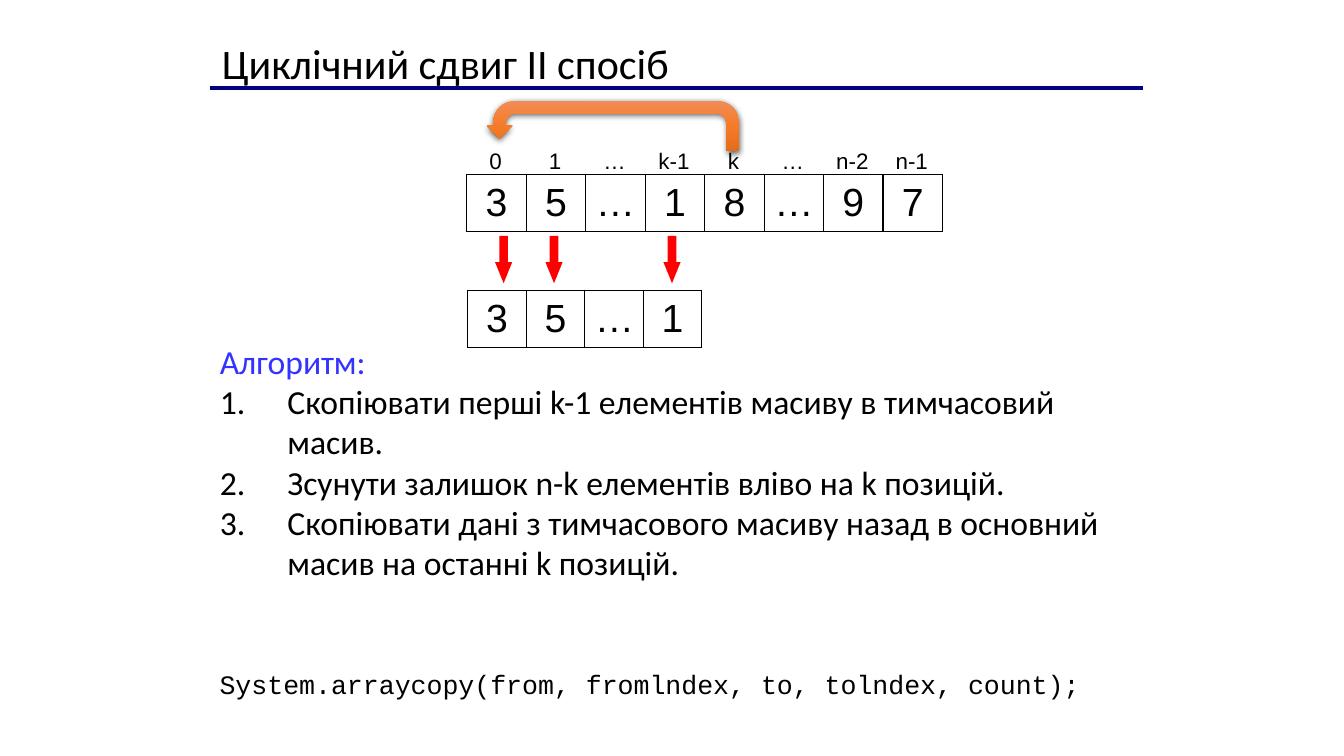
import pptx
import pptx.dml.color
import pptx.enum.shapes
import pptx.enum.text
import pptx.oxml
import pptx.oxml.ns
import pptx.util

PX = 9144
BLACK = "000000"
NAVY = "000080"
BLUE = "3333FF"
RED = "FF0000"
NO_TABLE_STYLE = "{2D5ABB26-0587-4C30-8999-92F81FD0307C}"
COLUMN = 59
INDEXES = ["0", "1", "…", "k-1", "k", "…", "n-2", "n-1"]
VALUES = ["3", "5", "…", "1", "8", "…", "9", "7"]
STEPS = [
    "Скопіювати перші k-1 елементів масиву в тимчасовий масив.",
    "Зсунути залишок n-k елементів вліво на k позицій.",
    "Скопіювати дані з тимчасового масиву назад в основний масив на останні k позицій.",
]


def px(*lengths):
    return [length * PX for length in lengths]


def rgb(value):
    return pptx.dml.color.RGBColor.from_string(value)


def append_xml(parent, text):
    namespaces = pptx.oxml.ns.nsdecls("a")
    head, rest = text.split(">", 1)
    if head.endswith("/"):
        head = f"{head[:-1]} {namespaces}/"
    else:
        head = f"{head} {namespaces}"
    element = pptx.oxml.parse_xml(f"{head}>{rest}")
    parent.append(element)
    return element


def place(shape, bounds):
    shape.left, shape.top, shape.width, shape.height = px(*bounds)


def add_span(para, text, font, size, color=BLACK):
    span = para.add_run()
    span.text = text
    span.font.name = font
    span.font.size = pptx.util.Pt(size)
    span.font.color.rgb = rgb(color)


def prepare_frame(frame):
    frame.word_wrap = True
    frame.auto_size = pptx.enum.text.MSO_AUTO_SIZE.NONE
    frame.vertical_anchor = pptx.enum.text.MSO_ANCHOR.TOP


def fill_title(title, text, bounds):
    place(title, bounds)
    prepare_frame(title.text_frame)
    para = title.text_frame.paragraphs[0]
    para.alignment = pptx.enum.text.PP_ALIGN.LEFT
    add_span(para, text, "Calibri", 30)


def set_bullet(para, indent, bullet):
    properties = para._p.get_or_add_pPr()
    properties.set("marL", str(indent * PX))
    properties.set("indent", str(-indent * PX))
    append_xml(properties, bullet)


def fill_steps(body, heading, steps, bounds):
    place(body, bounds)
    frame = body.text_frame
    prepare_frame(frame)
    para = frame.paragraphs[0]
    set_bullet(para, 19, "<a:buNone/>")
    para.space_before = pptx.util.Pt(0)
    add_span(para, heading, "Calibri", 24, BLUE)
    for step in steps:
        para = frame.add_paragraph()
        set_bullet(para, 67, '<a:buAutoNum type="arabicPeriod"/>')
        para.space_before = pptx.util.Pt(0)
        add_span(para, step, "Calibri", 24)


def add_code(page, text, bounds):
    box = page.shapes.add_textbox(*px(*bounds))
    prepare_frame(box.text_frame)
    add_span(box.text_frame.paragraphs[0], text, "Courier New", 19)


def add_rule(page, left, right, y):
    straight = pptx.enum.shapes.MSO_CONNECTOR.STRAIGHT
    rule = page.shapes.add_connector(straight, *px(left, y, right, y))
    rule.line.color.rgb = rgb(NAVY)
    rule.line.width = pptx.util.Pt(3)
    append_xml(rule.element.spPr, "<a:effectLst/>")


def add_borders(cell):
    properties = cell._tc.get_or_add_tcPr()
    for side in ("lnL", "lnR", "lnT", "lnB"):
        append_xml(
            properties,
            f'<a:{side} w="12700"><a:solidFill><a:srgbClr val="{BLACK}"/>'
            f"</a:solidFill></a:{side}>",
        )


def add_array(page, items, left, top, column, height, size, bordered=True):
    bounds = px(left, top, column * len(items), height)
    holder = page.shapes.add_table(1, len(items), *bounds)
    for style in holder.element.iter(pptx.oxml.ns.qn("a:tableStyleId")):
        style.text = NO_TABLE_STYLE
    table = holder.table
    table.first_row = False
    table.horz_banding = False
    for cell, item in zip(table.rows[0].cells, items):
        cell.vertical_anchor = pptx.enum.text.MSO_ANCHOR.MIDDLE
        if bordered:
            add_borders(cell)
        cell.fill.background()
        para = cell.text_frame.paragraphs[0]
        para.alignment = pptx.enum.text.PP_ALIGN.CENTER
        add_span(para, item, "Arial", size)


def add_copy_arrow(page, left):
    kind = pptx.enum.shapes.MSO_SHAPE.RIGHT_ARROW
    arrow = page.shapes.add_shape(kind, *px(left, 249, 47, 17))
    arrow.rotation = 90
    arrow.adjustments[0] = 0.5
    arrow.adjustments[1] = 1.23
    arrow.fill.solid()
    arrow.fill.fore_color.rgb = rgb(RED)
    arrow.line.fill.background()
    arrow.shadow.inherit = False


def add_return_arrow(page, bounds):
    kind = pptx.enum.shapes.MSO_SHAPE.U_TURN_ARROW
    arrow = page.shapes.add_shape(kind, *px(*bounds))
    properties = arrow.element.spPr
    properties.xfrm.set("flipH", "1")
    colors = [(0, "F18C57"), (50, "F67B28"), (100, "E56C19")]
    stops = "".join(
        f'<a:gs pos="{stop * 1000}"><a:srgbClr val="{color}"/></a:gs>'
        for stop, color in colors
    )
    append_xml(
        properties,
        f'<a:gradFill rotWithShape="1"><a:gsLst>{stops}</a:gsLst>'
        '<a:lin ang="5400000" scaled="0"/></a:gradFill>',
    )
    arrow.line.fill.background()
    append_xml(
        properties,
        '<a:effectLst><a:outerShdw blurRad="57150" dist="19050" dir="5400000" '
        f'algn="ctr" rotWithShape="0"><a:srgbClr val="{BLACK}">'
        '<a:alpha val="63000"/></a:srgbClr></a:outerShdw></a:effectLst>',
    )


def main():
    deck = pptx.Presentation()
    deck.slide_width, deck.slide_height = px(1333, 750)
    page = deck.slides.add_slide(deck.slide_layouts[1])
    add_rule(page, 208, 1134, 87)
    fill_title(page.shapes.title, "Циклічний сдвиг II спосіб", (210, 32, 890, 136))
    fill_steps(page.placeholders[1], "Алгоритм:", STEPS, (208, 333, 921, 252))
    add_array(page, VALUES, 463, 173, COLUMN, 57, 28)
    add_array(page, INDEXES, 462, 142, COLUMN, 37, 16, bordered=False)
    add_array(page, VALUES[:4], 464, 288, 58, 57, 28)
    for left in (476, 526, 643):
        add_copy_arrow(page, left)
    add_return_arrow(page, (483, 100, 250, 50))
    add_code(
        page,
        "System.arraycopy(from, fromlndex, to, tolndex, count);",
        (208, 658, 917, 42),
    )
    deck.save("out.pptx")


if __name__ == "__main__":
    main()
